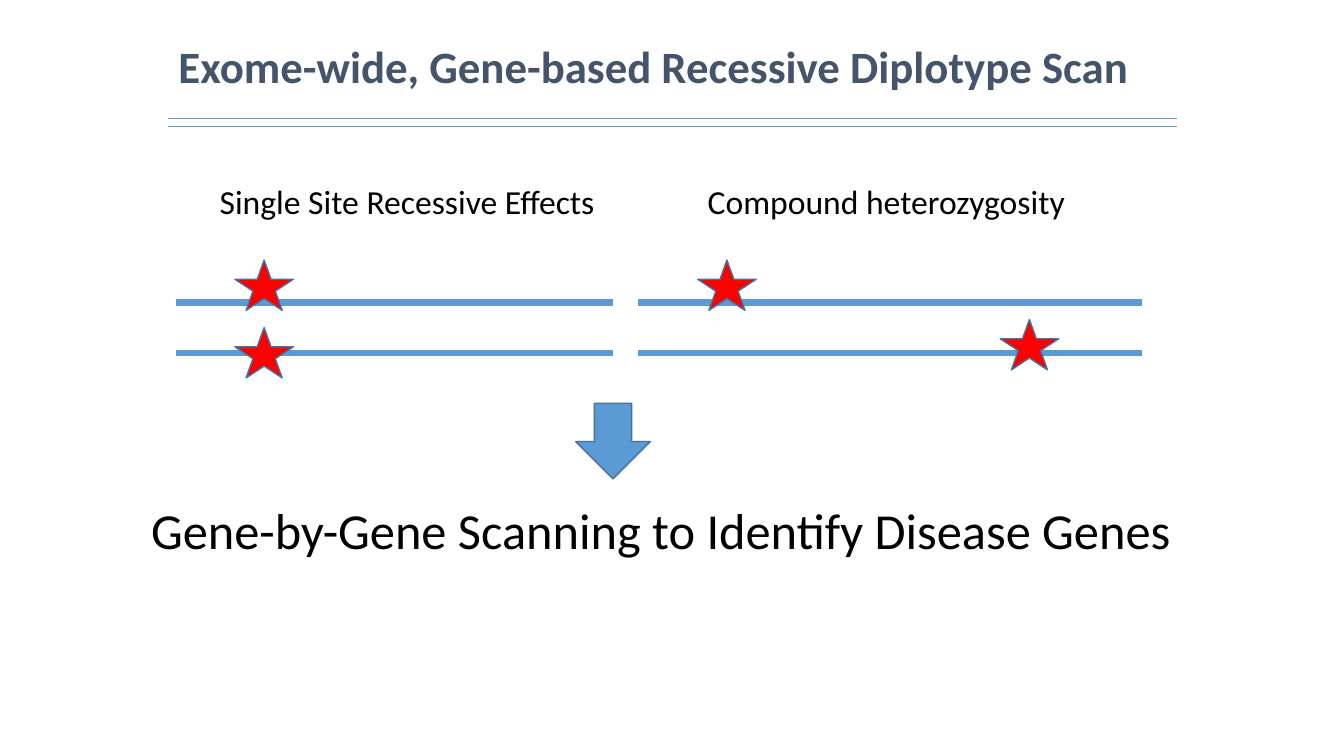
from pptx import Presentation
from pptx.dml.color import RGBColor
from pptx.enum import shapes, text
from pptx.oxml import ns
from pptx.util import Inches, Pt
from lxml import etree

BLUE, OUTLINE, RED = "5B9BD5", "43739E", "FF0000"
SLATE, BLACK = "44546A", "000000"


def rgb(value):
    return RGBColor.from_string(value)


def place(sp, left, top, width, height):
    sp.left, sp.top = Inches(left), Inches(top)
    sp.width, sp.height = Inches(width), Inches(height)


def add_run(p, content, size, color, bold=False):
    r = p.add_run()
    r.text = content
    r.font.name = "Calibri"
    r.font.size = Pt(size)
    r.font.bold = bold
    r.font.color.rgb = rgb(color)


def set_title(s, content):
    sp = s.shapes.title
    place(sp, 1.67, 0.08, 10.77, 1.2)
    tf = sp.text_frame
    tf.vertical_anchor = text.MSO_ANCHOR.MIDDLE
    p = tf.paragraphs[0]
    p.alignment = text.PP_ALIGN.LEFT
    p.line_spacing = 0.9
    add_run(p, content, 32, SLATE, bold=True)


def add_label(s, content, left, top, width, height, size):
    sp = s.shapes.add_textbox(Inches(left), Inches(top), Inches(width), Inches(height))
    tf = sp.text_frame
    tf.word_wrap = False
    tf.auto_size = text.MSO_AUTO_SIZE.SHAPE_TO_FIT_TEXT
    add_run(tf.paragraphs[0], content, size, BLACK)


def add_rule(s, left, right, y, weight):
    """Draw a horizontal blue line."""
    line = s.shapes.add_connector(
        shapes.MSO_CONNECTOR.STRAIGHT, Inches(left), Inches(y), Inches(right), Inches(y))
    line.line.color.rgb = rgb(BLUE)
    line.line.width = Pt(weight)
    etree.SubElement(line._element.spPr, ns.qn("a:effectLst"))


def add_figure(s, kind, left, top, width, height, fill):
    sp = s.shapes.add_shape(kind, Inches(left), Inches(top), Inches(width), Inches(height))
    sp.shadow.inherit = False
    sp.fill.solid()
    sp.fill.fore_color.rgb = rgb(fill)
    sp.line.color.rgb = rgb(OUTLINE)
    sp.line.width = Pt(1)


def add_diplotype(s, left, right, mutations):
    """Draw two haplotype lines with a star at each (left, top) mutation."""
    for y in (3, 3.5):
        add_rule(s, left, right, y, 4.5)
    for x, y in mutations:
        add_figure(s, shapes.MSO_SHAPE.STAR_5_POINT, x, y, 0.58, 0.5, RED)


def main():
    prs = Presentation()
    prs.slide_width, prs.slide_height = Inches(13.33), Inches(7.5)
    s = prs.slides.add_slide(prs.slide_layouts[5])

    set_title(s, "Exome-wide, Gene-based Recessive Diplotype Scan")
    for y in (1.17, 1.25):
        add_rule(s, 1.67, 11.67, y, 0.5)

    add_label(s, "Compound heterozygosity", 6.92, 1.75, 3.78, 0.5, 24)
    add_diplotype(s, 6.33, 11.33, [(6.92, 2.58), (9.92, 3.17)])

    add_diplotype(s, 1.75, 6.08, [(2.33, 2.58), (2.33, 3.25)])
    add_label(s, "Single Site Recessive Effects", 2.08, 1.75, 3.96, 0.5, 24)

    add_figure(s, shapes.MSO_SHAPE.DOWN_ARROW, 5.71, 4, 0.74, 0.75, BLUE)
    add_label(s, "Gene-by-Gene Scanning to Identify Disease Genes",
              1.4, 4.9, 10.52, 0.71, 36)

    prs.save("out.pptx")


if __name__ == "__main__":
    main()
